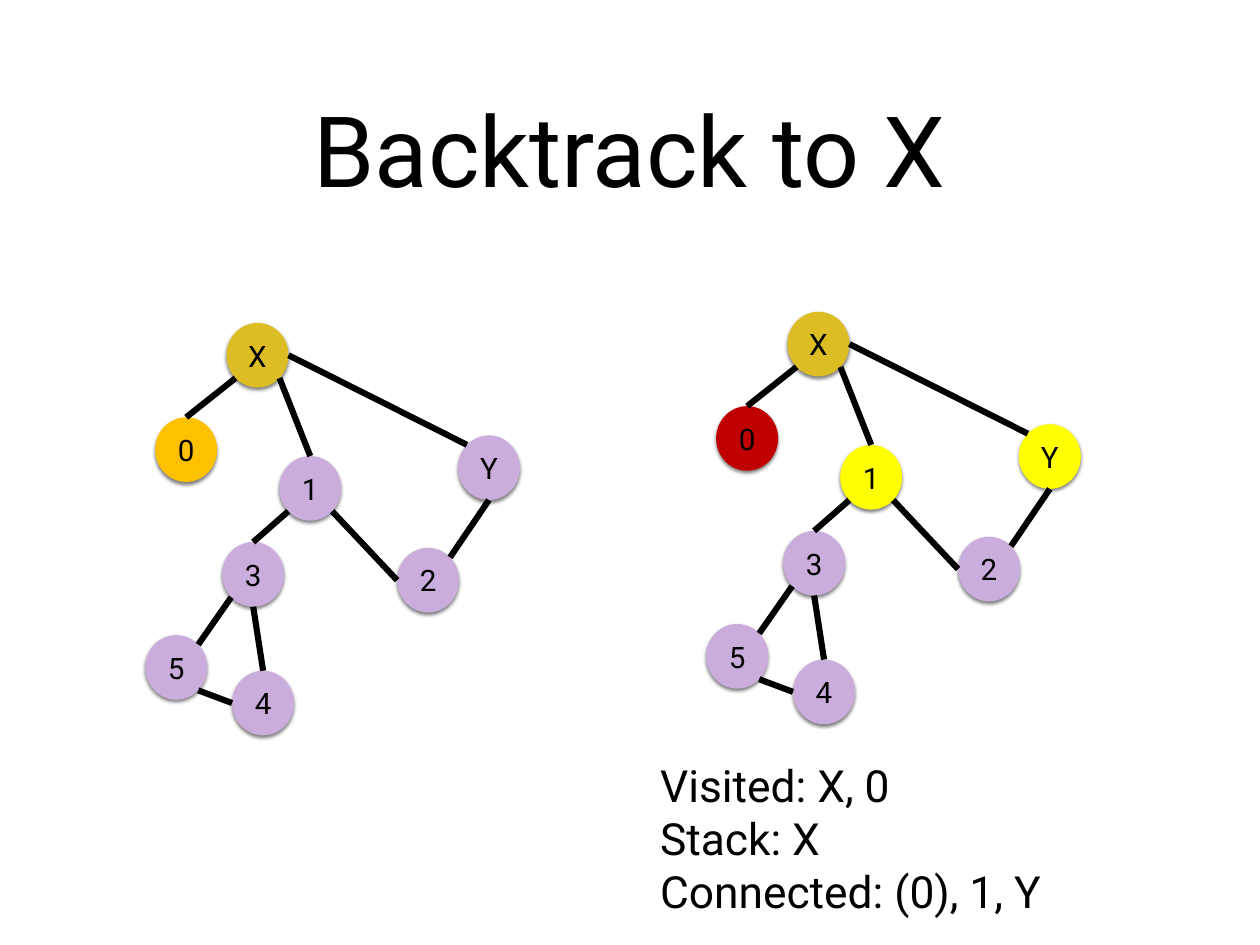
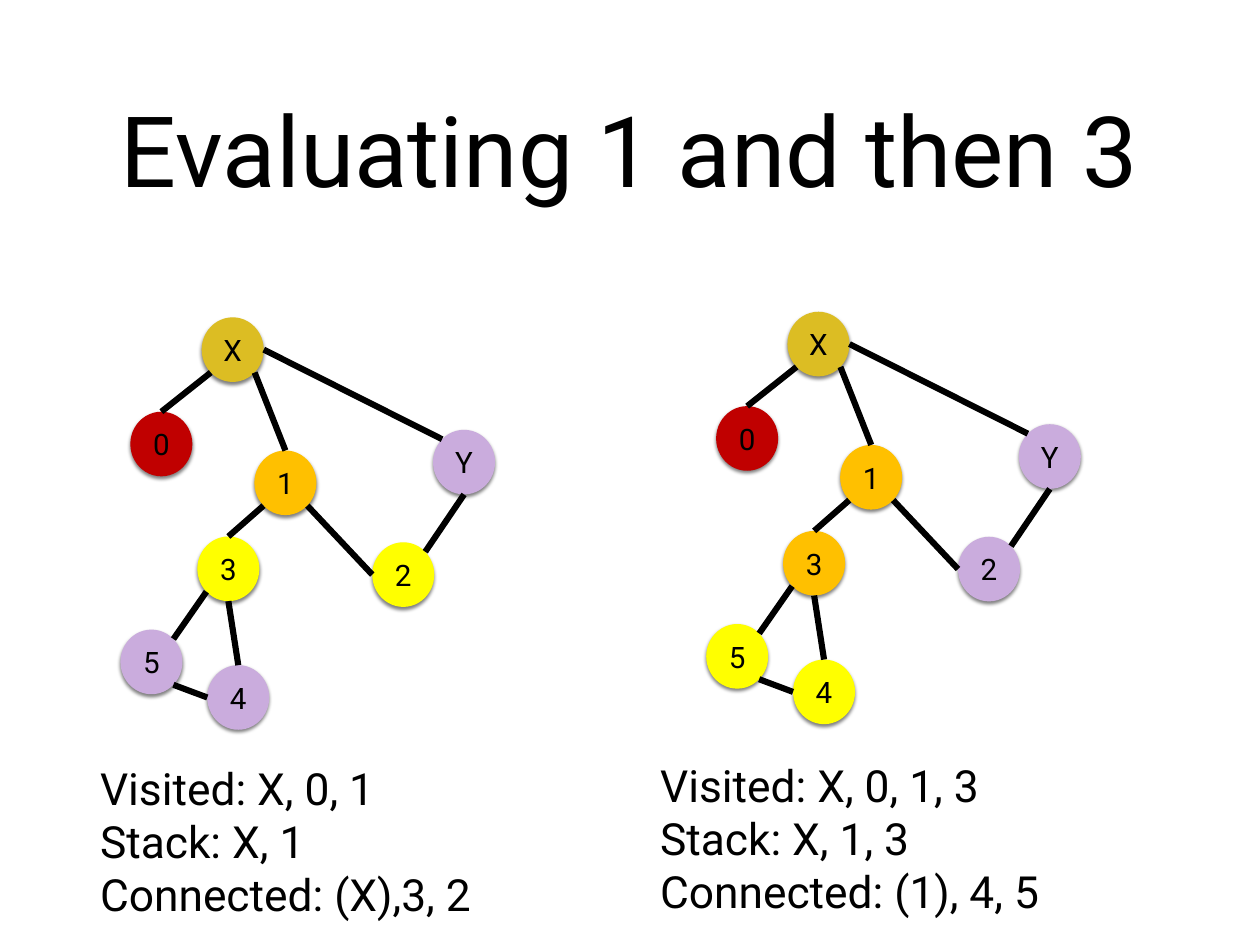
from dataclasses import dataclass
from typing import NamedTuple

from lxml import etree
from pptx import Presentation
from pptx import util as u
from pptx.dml.color import RGBColor
from pptx.enum import shapes, text
from pptx.oxml import ns

SLIDE_WIDTH, SLIDE_HEIGHT = u.Inches(14.22), u.Inches(10.67)
NODE_WIDTH, NODE_HEIGHT = u.Inches(0.7), u.Inches(0.73)
FONT = "Roboto"
COLORS = {
    "ink": "000000",
    "unseen": "CAACDD",
    "start": "DCBD23",
    "current": "FFC000",
    "connected": "FFFF00",
    "done": "C00000",
}
FRAME_FORMAT = {
    "auto_size": text.MSO_AUTO_SIZE.NONE,
    "vertical_anchor": text.MSO_ANCHOR.MIDDLE,
    "margin_left": u.Inches(0.06),
    "margin_right": u.Inches(0.06),
    "margin_top": u.Inches(0.06),
    "margin_bottom": u.Inches(0.06),
}
CENTER, LEFT = text.PP_ALIGN.CENTER, text.PP_ALIGN.LEFT


class Area(NamedTuple):
    """A box in percent of the slide's width and height."""
    left: float
    top: float
    width: float
    height: float

    def lengths(self) -> tuple[int, int, int, int]:
        return (across(self.left), down(self.top), across(self.width), down(self.height))


class Cell(NamedTuple):
    """A place in a graph, in node widths and node heights from its corner."""
    column: float
    row: float


class Site(NamedTuple):
    """A connection site of an ellipse: its index and its share of the box."""
    index: int
    x: float
    y: float


class Edge(NamedTuple):
    begin: str
    begin_site: Site
    end: str
    end_site: Site


@dataclass
class Graph:
    left: float
    top: float
    states: dict[str, str]
    caption: tuple[str, ...] = ()
    caption_area: Area | None = None


@dataclass
class Step:
    title: str
    graphs: tuple[Graph, ...]


TOP = Site(0, 0.5, 0)
TOP_LEFT = Site(1, 0.146, 0.146)
LEFT_SIDE = Site(2, 0, 0.5)
BOTTOM_LEFT = Site(3, 0.146, 0.854)
BOTTOM = Site(4, 0.5, 1)
BOTTOM_RIGHT = Site(5, 0.854, 0.854)
RIGHT_SIDE = Site(6, 1, 0.5)
TOP_RIGHT = Site(7, 0.854, 0.146)

NODES = {
    "1": Cell(2.16, 2.06),
    "3": Cell(1.24, 3.39),
    "2": Cell(4.06, 3.48),
    "5": Cell(0, 4.83),
    "4": Cell(1.4, 5.38),
    "X": Cell(1.31, 0),
    "0": Cell(0.16, 1.46),
    "Y": Cell(5.04, 1.74),
}
EDGES = (
    Edge("3", BOTTOM, "4", TOP),
    Edge("1", BOTTOM_LEFT, "3", TOP),
    Edge("2", TOP_RIGHT, "Y", BOTTOM),
    Edge("1", BOTTOM_RIGHT, "2", LEFT_SIDE),
    Edge("X", BOTTOM_RIGHT, "1", TOP),
    Edge("X", RIGHT_SIDE, "Y", TOP_LEFT),
    Edge("3", BOTTOM_LEFT, "5", TOP_RIGHT),
    Edge("0", TOP, "X", BOTTOM_LEFT),
    Edge("5", BOTTOM_RIGHT, "4", LEFT_SIDE),
)

TITLE_AREA = Area(7.31, 4.59, 85.37, 22.12)
LEFT_CAPTION = Area(7.52, 79.94, 31.86, 18.09)
RIGHT_CAPTION = Area(51.97, 79.57, 33.83, 18.09)
RIGHT_GRAPH = {"left": 56.05, "top": 32.99, "caption_area": RIGHT_CAPTION}

STEPS = (
    Step("Backtrack to X", (
        Graph(**RIGHT_GRAPH,
              states={"X": "start", "0": "done", "1": "connected", "Y": "connected"},
              caption=("Visited: X, 0", "Stack: X", "Connected: (0), 1, Y")),
        Graph(11.53, 34.17, {"X": "start", "0": "current"}),
    )),
    Step("Evaluating 1 and then 3", (
        Graph(**RIGHT_GRAPH,
              states={"X": "start", "0": "done", "1": "current", "3": "current",
                      "4": "connected", "5": "connected"},
              caption=("Visited: X, 0, 1, 3", "Stack: X, 1, 3", "Connected: (1), 4, 5")),
        Graph(9.56, 33.58,
              {"X": "start", "0": "done", "1": "current", "2": "connected", "3": "connected"},
              ("Visited: X, 0, 1", "Stack: X, 1", "Connected: (X),3, 2"), LEFT_CAPTION),
    )),
)


def across(percent: float) -> int:
    return round(SLIDE_WIDTH * percent / 100)


def down(percent: float) -> int:
    return round(SLIDE_HEIGHT * percent / 100)


def color(name: str) -> RGBColor:
    return RGBColor.from_string(COLORS[name])


def write(shape, lines: tuple[str, ...], size: int, alignment, wrap: bool = True) -> None:
    frame = shape.text_frame
    for name, value in FRAME_FORMAT.items():
        setattr(frame, name, value)
    frame.word_wrap = wrap
    frame.text = "\n".join(lines)
    for paragraph in frame.paragraphs:
        paragraph.alignment = alignment
        for name, value in {"name": FONT, "size": u.Pt(size)}.items():
            setattr(paragraph.font, name, value)
        paragraph.font.color.rgb = color("ink")


def add_soft_shadow(shape) -> None:
    shape.shadow.inherit = False
    effects = shape._element.spPr.find(ns.qn("a:effectLst"))
    shadow = etree.SubElement(
        effects, ns.qn("a:outerShdw"), blurRad=str(u.Pt(3)), dist=str(u.Pt(2)),
        dir="5400000", rotWithShape="0")
    tint = etree.SubElement(shadow, ns.qn("a:srgbClr"), val=COLORS["ink"])
    etree.SubElement(tint, ns.qn("a:alpha"), val="50000")


def add_node(slide, graph: Graph, label: str, cell: Cell):
    shape = slide.shapes.add_shape(
        shapes.MSO_SHAPE.OVAL,
        across(graph.left) + round(cell.column * NODE_WIDTH),
        down(graph.top) + round(cell.row * NODE_HEIGHT),
        NODE_WIDTH, NODE_HEIGHT)
    shape.fill.solid()
    shape.fill.fore_color.rgb = color(graph.states.get(label, "unseen"))
    shape.line.fill.background()
    add_soft_shadow(shape)
    write(shape, (label,), 24, CENTER, wrap=False)
    return shape


def site_point(node, site: Site) -> tuple[int, int]:
    return (node.left + round(node.width * site.x), node.top + round(node.height * site.y))


def add_edge(slide, begin, begin_site: Site, end, end_site: Site) -> None:
    """Draw a line between two ellipses, joined to their eight-point sites."""
    connector = slide.shapes.add_connector(
        shapes.MSO_CONNECTOR.STRAIGHT, *site_point(begin, begin_site), *site_point(end, end_site))
    connector.line.color.rgb = color("ink")
    connector.line.width = u.Pt(5)
    element = connector._element
    etree.SubElement(element.spPr, ns.qn("a:effectLst"))
    joints = element.find(".//" + ns.qn("p:cNvCxnSpPr"))
    for tag, node, site in (("a:stCxn", begin, begin_site), ("a:endCxn", end, end_site)):
        etree.SubElement(joints, ns.qn(tag), id=str(node.shape_id), idx=str(site.index))


def add_graph(slide, graph: Graph) -> None:
    nodes = {label: add_node(slide, graph, label, cell) for label, cell in NODES.items()}
    for edge in EDGES:
        add_edge(slide, nodes[edge.begin], edge.begin_site, nodes[edge.end], edge.end_site)
    if graph.caption:
        box = slide.shapes.add_textbox(*graph.caption_area.lengths())
        write(box, graph.caption, 36, LEFT)


def add_step(presentation, step: Step) -> None:
    slide = presentation.slides.add_slide(presentation.slide_layouts.get_by_name("Title Only"))
    title = slide.shapes.title
    title.left, title.top, title.width, title.height = TITLE_AREA.lengths()
    write(title, (step.title,), 80, CENTER)
    for graph in step.graphs:
        add_graph(slide, graph)


def main() -> None:
    presentation = Presentation()
    presentation.slide_width, presentation.slide_height = SLIDE_WIDTH, SLIDE_HEIGHT
    for step in STEPS:
        add_step(presentation, step)
    presentation.save("out.pptx")


if __name__ == "__main__":
    main()
